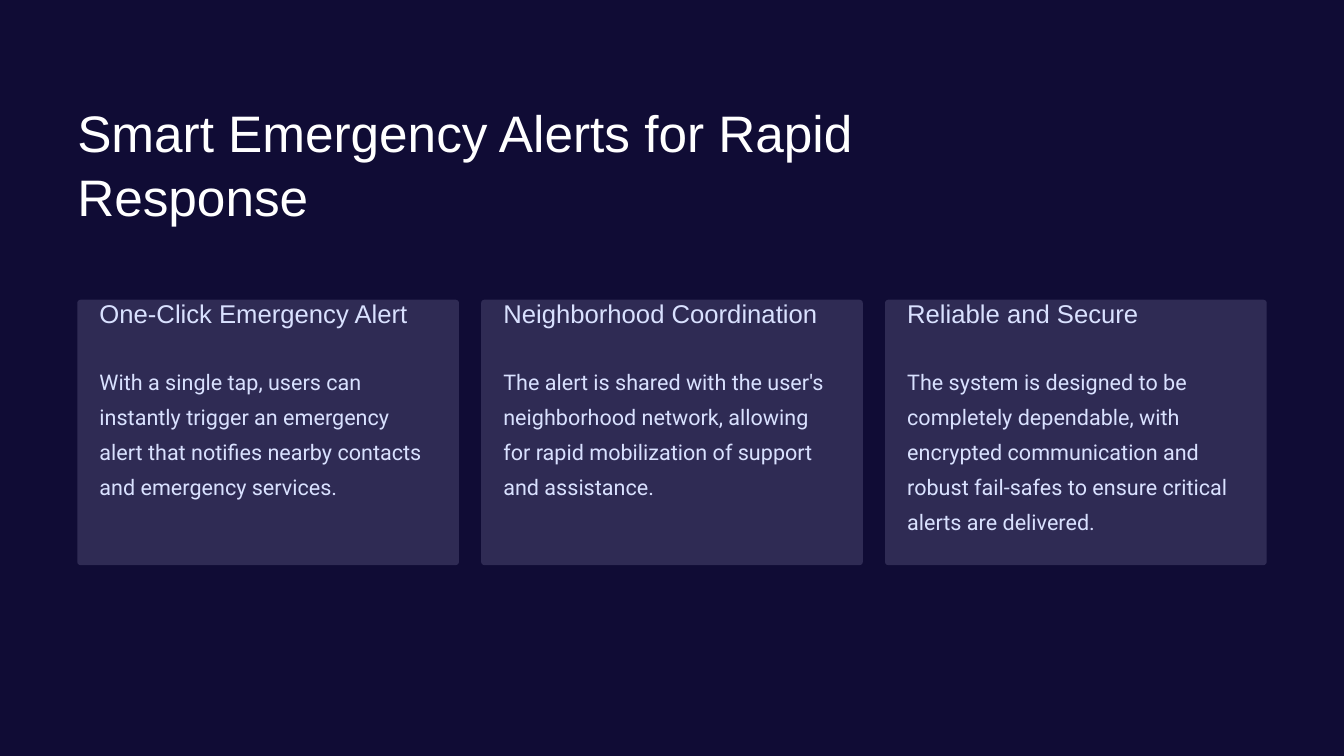
from dataclasses import dataclass

from pptx import Presentation
from pptx.dml.color import RGBColor
from pptx.enum.shapes import MSO_SHAPE
from pptx.enum.text import MSO_ANCHOR
from pptx.util import Inches, Pt

ROUNDED = MSO_SHAPE.ROUNDED_RECTANGLE
TOP = MSO_ANCHOR.TOP


@dataclass(frozen=True)
class TextStyle:
    font: str
    size: float
    leading: float
    color: str


@dataclass(frozen=True)
class Theme:
    background: str = "100C35"
    card: str = "2F2B54"
    title: TextStyle = TextStyle("Arial", 55, 68.8, "FFFFFF")
    heading: TextStyle = TextStyle("Arial", 27.5, 34.4, "D9E1FF")
    body: TextStyle = TextStyle("Roboto", 23.1, 37.5, "D9E1FF")


@dataclass(frozen=True)
class Grid:
    """Equal columns between two side margins, in inches."""
    width: float = 20
    height: float = 11.25
    margin: float = 1.15
    gap: float = 0.33
    columns: int = 3

    @property
    def column_width(self):
        inner = self.width - 2 * self.margin
        return (inner - (self.columns - 1) * self.gap) / self.columns

    def left(self, column):
        return self.margin + column * (self.column_width + self.gap)


class SlideBuilder:
    CARD_TOP, CARD_HEIGHT, CORNER = 4.46, 3.95, 0.05
    HEADING_TOP, BODY_TOP = 4.41, 5.36

    def __init__(self, prs, theme, grid):
        self.theme, self.grid = theme, grid
        self.slide = prs.slides.add_slide(prs.slide_layouts[6])
        fill = self.slide.background.fill
        fill.solid()
        fill.fore_color.rgb = RGBColor.from_string(theme.background)

    def text(self, text, left, top, width, height, style):
        box = self.slide.shapes.add_textbox(
            Inches(left), Inches(top), Inches(width), Inches(height))
        tf = box.text_frame
        tf.text = text
        tf.word_wrap = True
        tf.vertical_anchor = TOP
        tf.margin_left = tf.margin_right = tf.margin_top = tf.margin_bottom = 0
        p = tf.paragraphs[0]
        p.line_spacing = Pt(style.leading)
        font = p.runs[0].font
        font.name, font.size = style.font, Pt(style.size)
        font.color.rgb = RGBColor.from_string(style.color)

    def title(self, text):
        self.text(text, self.grid.margin, 1.46, 15.07, 1.02, self.theme.title)

    def panel(self, left):
        width = self.grid.column_width
        sp = self.slide.shapes.add_shape(
            ROUNDED, Inches(left), Inches(self.CARD_TOP),
            Inches(width), Inches(self.CARD_HEIGHT))
        sp.adjustments[0] = self.CORNER / min(width, self.CARD_HEIGHT)
        sp.shadow.inherit = False
        sp.fill.solid()
        sp.fill.fore_color.rgb = RGBColor.from_string(self.theme.card)
        sp.line.fill.background()

    def card(self, column, heading, body):
        left, pad = self.grid.left(column), self.grid.gap
        width = self.grid.column_width - 2 * pad
        self.panel(left)
        self.text(heading, left + pad, self.HEADING_TOP, width, 0.52, self.theme.heading)
        self.text(body, left + pad, self.BODY_TOP, width, 2.72, self.theme.body)


CARDS = [
    ("One-Click Emergency Alert",
     "With a single tap, users can instantly trigger an emergency alert that "
     "notifies nearby contacts and emergency services."),
    ("Neighborhood Coordination",
     "The alert is shared with the user's neighborhood network, allowing for "
     "rapid mobilization of support and assistance."),
    ("Reliable and Secure",
     "The system is designed to be completely dependable, with encrypted "
     "communication and robust fail-safes to ensure critical alerts are delivered."),
]


def main():
    grid = Grid()
    prs = Presentation()
    prs.slide_width, prs.slide_height = Inches(grid.width), Inches(grid.height)
    builder = SlideBuilder(prs, Theme(), grid)
    builder.title("Smart Emergency Alerts for Rapid Response")
    for column, (heading, body) in enumerate(CARDS):
        builder.card(column, heading, body)
    prs.save("out.pptx")


if __name__ == "__main__":
    main()
